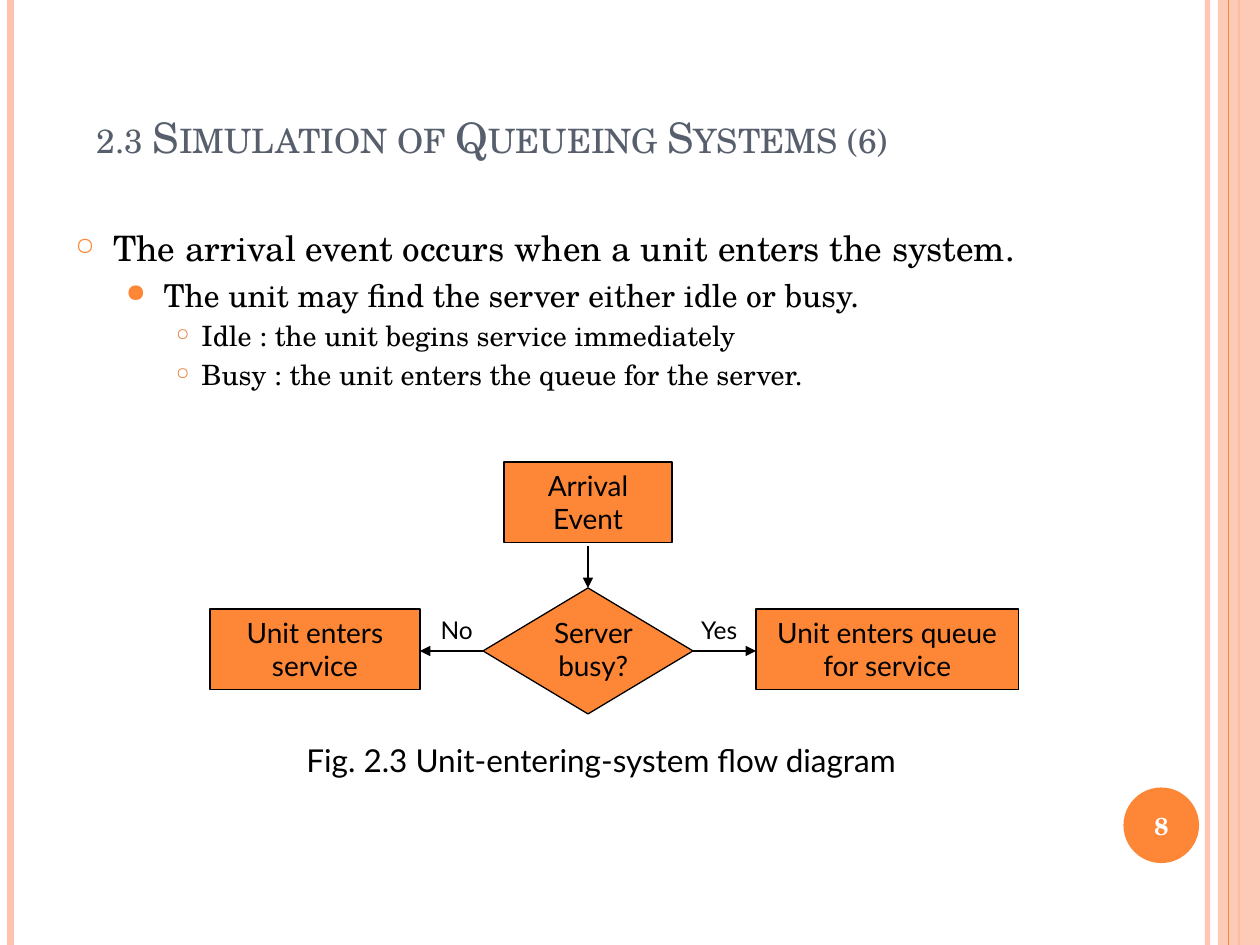
from pptx import Presentation
from pptx.dml.color import RGBColor
from pptx.enum.shapes import MSO_CONNECTOR, MSO_SHAPE
from pptx.enum.text import MSO_ANCHOR, MSO_AUTO_SIZE, PP_ALIGN
from pptx.oxml.ns import qn
from pptx.util import Inches, Pt
from lxml import etree

RECT, OVAL, DECISION = MSO_SHAPE.RECTANGLE, MSO_SHAPE.OVAL, MSO_SHAPE.FLOWCHART_DECISION
STRAIGHT = MSO_CONNECTOR.STRAIGHT
LEFT, CENTER, JUSTIFY = PP_ALIGN.LEFT, PP_ALIGN.CENTER, PP_ALIGN.JUSTIFY
TOP, MIDDLE, BOTTOM = MSO_ANCHOR.TOP, MSO_ANCHOR.MIDDLE, MSO_ANCHOR.BOTTOM
NO_AUTOFIT = MSO_AUTO_SIZE.NONE

ORANGE = RGBColor(0xFE, 0x86, 0x37)
DARK_ORANGE = RGBColor(0xE0, 0x75, 0x2F)
PEACH = RGBColor(0xFE, 0xC3, 0xAE)
SLATE = RGBColor(0x57, 0x5F, 0x6D)
BLACK = RGBColor(0, 0, 0)
WHITE = RGBColor(0xFF, 0xFF, 0xFF)
SERIF, SANS = "TeX Gyre Schola", "Lato"

# The page is a grid of 120 columns and 90 rows
COLUMNS, ROWS = 120, 90
CELL = Inches(10) // COLUMNS
TWO_LINES = 7.7  # rows taken by a box with two lines of text

# Text, level, size, space before, bullet, bullet colour, bullet percent, indent, hanging
BULLETS = [
    ("The arrival event occurs when a unit enters the system.",
     0, 20, 6, "○", ORANGE, 70, 0.3, 0.3),
    ("The unit may find the server either idle or busy.",
     1, 18, 4, "●", ORANGE, 80, 0.7, 0.3),
    ("Idle : the unit begins service immediately",
     2, 16, 3, "○", DARK_ORANGE, 60, 1, 0.2),
    ("Busy : the unit enters the queue for the server.",
     2, 16, 3, "○", DARK_ORANGE, 60, 1, 0.2),
]


def grid(*cells):
    return [round(cell * CELL) for cell in cells]


def set_opacity(element, percent):
    color = element.find(".//" + qn("a:srgbClr"))
    etree.SubElement(color, qn("a:alpha")).set("val", str(percent * 1000))


def add_line(page, start, end, color, width, opacity=100, arrow=False):
    line = page.shapes.add_connector(STRAIGHT, *grid(*start, *end))
    line.line.color.rgb = color
    line.line.width = Pt(width)
    properties = line._element.spPr
    if opacity < 100:
        set_opacity(properties, opacity)
    if arrow:
        outline = properties.find(qn("a:ln"))
        etree.SubElement(outline, qn("a:tailEnd")).set("type", "triangle")
    etree.SubElement(properties, qn("a:effectLst"))


def add_block(page, kind, box, fill, outline=None):
    block = page.shapes.add_shape(kind, *grid(*box))
    block.shadow.inherit = False
    block.fill.solid()
    block.fill.fore_color.rgb = fill
    if outline is None:
        block.line.fill.background()
    else:
        block.line.color.rgb = outline
        block.line.width = Pt(0.75)
    return block


def format_para(para, font, size, color, align):
    para.alignment = align
    for span in para.runs:
        span.font.name = font
        span.font.size = Pt(size)
        span.font.color.rgb = color


def write(shape, text, font, size, color=BLACK, align=CENTER, anchor=TOP):
    frame = shape.text_frame
    frame.word_wrap = True
    frame.auto_size = NO_AUTOFIT
    frame.vertical_anchor = anchor
    frame.text = text
    format_para(frame.paragraphs[0], font, size, color, align)
    return frame.paragraphs[0].runs[0]


def add_label(page, box, text, font, size, **style):
    return write(page.shapes.add_textbox(*grid(*box)), text, font, size, **style)


def set_bullet(para, mark, color, percent, indent, hanging):
    properties = para._p.get_or_add_pPr()
    properties.set("marL", str(Inches(indent)))
    properties.set("indent", str(-Inches(hanging)))
    bullet_color = etree.SubElement(properties, qn("a:buClr"))
    etree.SubElement(bullet_color, qn("a:srgbClr")).set("val", str(color))
    etree.SubElement(properties, qn("a:buSzPct")).set("val", str(percent * 1000))
    etree.SubElement(properties, qn("a:buChar")).set("char", mark)


def add_side_stripes(page):
    def stripe(column, color, width, opacity=100):
        add_line(page, (column, 0), (column, ROWS), color, width, opacity)

    stripe(115, PEACH, 3, 93)
    stripe(1, PEACH, 4.5)
    stripe(118, ORANGE, 1.5)
    band = add_block(page, RECT, (116, 0, 4, ROWS), PEACH)
    set_opacity(band._element.spPr, 87)
    stripe(117, ORANGE, 0.75)


def add_page_number(page, box, number):
    left, top, width, height = box
    add_block(page, OVAL, box, ORANGE)
    span = add_label(page, (left - 0.4, top, width + 0.8, height), number,
                     SERIF, 14, color=WHITE, anchor=MIDDLE)
    span.font.bold = True


def add_title(page, box, text):
    title = page.shapes.title
    title.left, title.top, title.width, title.height = grid(*box)
    span = write(title, text, SERIF, 24, SLATE, LEFT, BOTTOM)
    span.font._element.set("cap", "small")


def add_bullets(page, box):
    frame = page.shapes.add_textbox(*grid(*box)).text_frame
    frame.word_wrap = True
    frame.text = "\n".join(item[0] for item in BULLETS)
    for para, item in zip(frame.paragraphs, BULLETS):
        _, level, size, space, *bullet = item
        para.level = level
        para.space_before = Pt(space)
        format_para(para, SERIF, size, BLACK, JUSTIFY)
        set_bullet(para, *bullet)


def add_flow_chart(page, box):
    left, top, width, height = box
    center, branch = left + 36, top + 14
    middle = branch + 4

    # Steps and decision
    steps = [
        (center - 8, top, 16, "Arrival Event"),
        (left, branch, 20, "Unit enters service"),
        (left + width - 25, branch, 25, "Unit enters queue for service"),
    ]
    for column, row, span, text in steps:
        step = add_block(page, RECT, (column, row, span, TWO_LINES), ORANGE, BLACK)
        write(step, text, SANS, 16)
    add_block(page, DECISION, (center - 10, middle - 6, 20, 12), ORANGE, BLACK)
    add_label(page, (center - 7, branch, 15, TWO_LINES), "Server busy?", SANS, 16)

    # Arrows and their answers
    arrows = [
        ((center, top + 8), (center, middle - 6)),
        ((center - 10, middle), (center - 16, middle)),
        ((center + 10, middle), (center + 16, middle)),
    ]
    for start, end in arrows:
        add_line(page, start, end, BLACK, 0.75, arrow=True)
    for offset, answer in ((-16, "No"), (9, "Yes")):
        add_label(page, (center + offset, branch, 7, 4), answer, SANS, 14)

    # Caption
    add_label(page, (left + 8, top + height - 5, 63, 5),
              "Fig. 2.3 Unit-entering-system flow diagram", SANS, 18, align=LEFT)


def main():
    deck = Presentation()
    deck.slide_width, deck.slide_height = grid(COLUMNS, ROWS)
    page = deck.slides.add_slide(deck.slide_layouts[5])
    add_side_stripes(page)
    add_title(page, (8, 8, 89, 8), "2.3 Simulation of Queueing Systems (6)")
    add_bullets(page, (6, 21, 98, 64))
    add_flow_chart(page, (20, 44, 77, 31))
    add_page_number(page, (107, 75, 7.2, 7.2), "8")
    deck.save("out.pptx")


if __name__ == "__main__":
    main()
